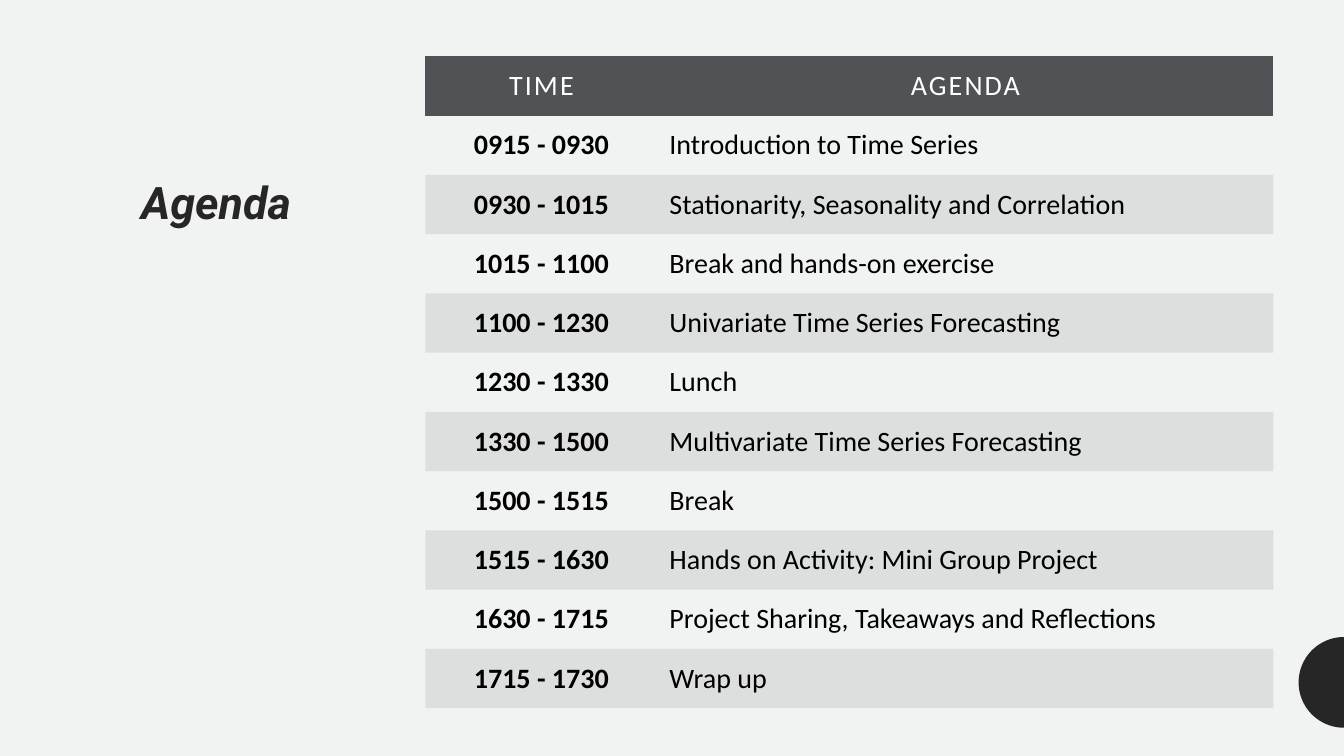
import math

import pptx
import pptx.dml.color
import pptx.enum.text
import pptx.oxml.ns
import pptx.util
from lxml import etree

WIDTH, HEIGHT = 13.33, 7.5
INK, PAPER, HEADER = "262626", "F0F3F1", "505356"
NO_GRID_STYLE = "{2D5ABB26-0587-4C30-8999-92F81FD0307C}"
ALIGN = pptx.enum.text.PP_ALIGN
MIDDLE = pptx.enum.text.MSO_ANCHOR.MIDDLE
inches = pptx.util.Inches

HEADINGS = ("TIME", "AGENDA")
SESSIONS = [
    ("0915 - 0930", "Introduction to Time Series"),
    ("0930 - 1015", "Stationarity, Seasonality and Correlation"),
    ("1015 - 1100", "Break and hands-on exercise"),
    ("1100 - 1230", "Univariate Time Series Forecasting"),
    ("1230 - 1330", "Lunch"),
    ("1330 - 1500", "Multivariate Time Series Forecasting"),
    ("1500 - 1515", "Break"),
    ("1515 - 1630", "Hands on Activity: Mini Group Project"),
    ("1630 - 1715", "Project Sharing, Takeaways and Reflections"),
    ("1715 - 1730", "Wrap up"),
]


def paint(fill, color, opacity=100):
    """Fill with a hex colour at an opacity in percent."""
    fill.solid()
    fill.fore_color.rgb = pptx.dml.color.RGBColor.from_string(color)
    if opacity < 100:
        tag = pptx.oxml.ns.qn("a:alpha")
        holder = fill._xPr.find(".//" + pptx.oxml.ns.qn("a:srgbClr"))
        etree.SubElement(holder, tag).set("val", str(opacity * 1000))


def apply(target, formats):
    for name, value in formats.items():
        setattr(target, name, value)


def write(para, text, color, **formats):
    span = para.add_run()
    span.text = text
    apply(span.font, formats)
    paint(span.font.fill, color)
    return span


def add_title(page, left, top, width, height):
    title = page.shapes.title
    apply(title, dict(left=inches(left), top=inches(top),
                      width=inches(width), height=inches(height)))
    title.text_frame.vertical_anchor = MIDDLE
    para = title.text_frame.paragraphs[0]
    apply(para, dict(alignment=ALIGN.LEFT, line_spacing=1.1,
                     space_before=pptx.util.Pt(4), space_after=pptx.util.Pt(4)))
    write(para, "Agenda", INK, name="Roboto", size=pptx.util.Pt(32),
          bold=True, italic=True)


def add_half_disc(page, center_x, center_y, radius, steps=48):
    """Draw the left half of a disc, its flat side at center_x."""
    angles = [math.pi * (0.5 + step / steps) for step in range(steps + 1)]
    points = [(inches(center_x + radius * math.cos(angle)),
               inches(center_y + radius * math.sin(angle))) for angle in angles]
    builder = page.shapes.build_freeform(*points[0])
    builder.add_line_segments(points[1:], close=True)
    disc = builder.convert_to_shape()
    disc.shadow.inherit = False
    paint(disc.fill, INK)
    disc.line.fill.background()


def fill_cell(cell, text, row, column):
    is_header = row == 0
    margin = inches(0.12)
    apply(cell, dict(vertical_anchor=MIDDLE, margin_left=margin, margin_right=margin,
                     margin_top=margin, margin_bottom=margin))
    if is_header:
        paint(cell.fill, HEADER)
    elif row % 2 == 0:
        paint(cell.fill, "000000", opacity=8)
    else:
        cell.fill.background()
    para = cell.text_frame.paragraphs[0]
    para.alignment = ALIGN.CENTER if is_header or column == 0 else ALIGN.LEFT
    span = write(para, text, "FFFFFF" if is_header else "000000", name="Calibri",
                 size=pptx.util.Pt(20), bold=not is_header and column == 0)
    if is_header:
        span._r.get_or_add_rPr().set("spc", "150")


def add_schedule(page, left, top, width, height):
    rows = [HEADINGS] + SESSIONS
    table = page.shapes.add_table(len(rows), len(HEADINGS), inches(left), inches(top),
                                  inches(width), inches(height)).table
    apply(table, dict(first_row=False, horz_banding=False))
    table._tbl.tblPr.find(pptx.oxml.ns.qn("a:tableStyleId")).text = NO_GRID_STYLE
    time_width = 2.3
    for column, share in zip(table.columns, (time_width, width - time_width)):
        column.width = inches(share)
    for row, texts in enumerate(rows):
        table.rows[row].height = inches(height / len(rows))
        for column, text in enumerate(texts):
            fill_cell(table.cell(row, column), text, row, column)


def main():
    deck = pptx.Presentation()
    apply(deck, dict(slide_width=inches(WIDTH), slide_height=inches(HEIGHT)))
    page = deck.slides.add_slide(deck.slide_layouts.get_by_name("Title Only"))
    paint(page.background.fill, PAPER)
    add_half_disc(page, WIDTH, 6.77, 0.45)
    add_title(page, 1.3, 1.52, 2.55, 0.9)
    add_schedule(page, 4.22, 0.56, 8.41, 6.47)
    deck.save("out.pptx")


if __name__ == "__main__":
    main()
